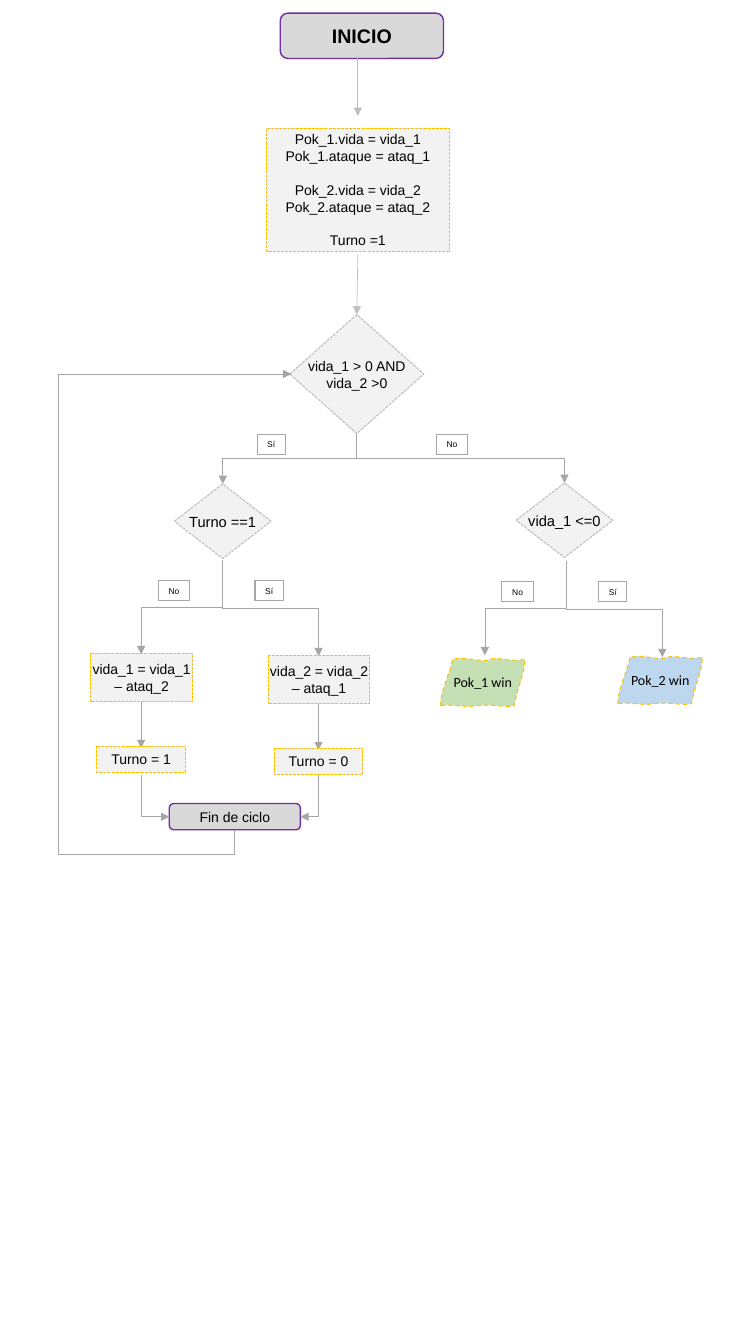
from lxml.etree import SubElement
from pptx import Presentation
from pptx.dml.color import RGBColor
from pptx.enum.dml import MSO_LINE
from pptx.enum.shapes import MSO_CONNECTOR, MSO_SHAPE
from pptx.enum.text import MSO_ANCHOR, PP_ALIGN
from pptx.oxml.ns import qn
from pptx.util import Inches, Pt

# The page is a grid of 75 columns by 133.3 rows, each a tenth of an inch.
COLUMNS, ROWS = 75, 133.3
MAIN, TURN_TEST, LIFE_TEST = 35.4, 22.1, 56
TURN_NO, TURN_YES = 14, 31.6

BLACK = RGBColor(0x00, 0x00, 0x00)
PALE_GREY = RGBColor(0xF2, 0xF2, 0xF2)
LIGHT_GREY = RGBColor(0xD9, 0xD9, 0xD9)
SILVER = RGBColor(0xBF, 0xBF, 0xBF)
GREY = RGBColor(0xA6, 0xA6, 0xA6)
PURPLE = RGBColor(0x70, 0x30, 0xA0)
AMBER = RGBColor(0xFF, 0xC0, 0x00)
GREEN = RGBColor(0xC5, 0xE0, 0xB4)
BLUE = RGBColor(0xBD, 0xD7, 0xEE)

# Wavy parallelogram: a start, then cubic curves (two controls and an end).
WAVE_START = (0, 4.6)
WAVE_CURVES = [
    ((0, 3.1), (1, 1.3), (1.2, 0)),
    ((2.3, -0.4), (4.2, 0.4), (4.9, 0)),
    ((5.7, -0.3), (6.9, 0.3), (8.4, 0)),
    ((8.3, 1.6), (7.7, 2.5), (7.3, 4.6)),
    ((6.4, 4.8), (5.1, 4.4), (3.6, 4.6)),
    ((2.1, 4.8), (1.4, 4.4), WAVE_START),
]
CURVE_STEPS = 8


def grid(units):
    return Inches(units / 10)


def write(shape, text, size, font="Arial", bold=False):
    """Centre the text; an empty line in it becomes space before a paragraph."""
    frame = shape.text_frame
    frame.word_wrap = False
    frame.vertical_anchor = MSO_ANCHOR.MIDDLE
    frame.margin_left = frame.margin_right = frame.margin_top = frame.margin_bottom = 0
    para = None
    for block_number, block in enumerate(text.split("\n\n")):
        for line_number, line in enumerate(block.split("\n")):
            para = frame.add_paragraph() if para is not None else frame.paragraphs[0]
            para.text = line
            para.alignment = PP_ALIGN.CENTER
            para.font.name, para.font.size, para.font.bold = font, Pt(size), bold
            para.font.color.rgb = BLACK
            if block_number and not line_number:
                para.space_before = Pt(size * 1.2)


def paint(shape, fill, outline, width=0.75, dash=None):
    shape.shadow.inherit = False
    if fill is None:
        shape.fill.background()
    else:
        shape.fill.solid()
        shape.fill.fore_color.rgb = fill
    shape.line.color.rgb = outline
    shape.line.width = Pt(width)
    if dash:
        shape.line.dash_style = dash


def add_box(page, kind, middle, top, width, height):
    return page.shapes.add_shape(
        kind, grid(middle - width / 2), grid(top), grid(width), grid(height))


def add_terminal(page, middle, top, width, height, text, size, bold=False):
    box = add_box(page, MSO_SHAPE.FLOWCHART_ALTERNATE_PROCESS, middle, top, width, height)
    paint(box, LIGHT_GREY, PURPLE, 1)
    write(box, text, size, bold=bold)


def add_process(page, middle, top, width, height, text):
    box = add_box(page, MSO_SHAPE.FLOWCHART_PROCESS, middle, top, width, height)
    paint(box, PALE_GREY, AMBER, dash=MSO_LINE.SQUARE_DOT)
    box.line.dash_style = MSO_LINE.SQUARE_DOT
    write(box, text, 10)


def add_decision(page, middle, top, width, height, text, size):
    box = add_box(page, MSO_SHAPE.FLOWCHART_DECISION, middle, top, width, height)
    paint(box, PALE_GREY, SILVER, dash=MSO_LINE.SQUARE_DOT)
    write(box, text, size)


def add_answer(page, middle, top, text):
    box = add_box(page, MSO_SHAPE.RECTANGLE, middle, top, 3.1 if text == "No" else 2.8, 2)
    paint(box, None, GREY)
    write(box, text, 6)


def curve_point(points, share):
    """Return the point of a cubic curve at a share of its course."""
    rest = 1 - share
    weights = (rest ** 3, 3 * rest ** 2 * share, 3 * rest * share ** 2, share ** 3)
    return tuple(sum(w * p[axis] for w, p in zip(weights, points)) for axis in (0, 1))


def add_result(page, left, top, text, fill):
    outline, corner = [], WAVE_START
    for curve in WAVE_CURVES:
        outline += [curve_point((corner, *curve), step / CURVE_STEPS)
                    for step in range(1, CURVE_STEPS + 1)]
        corner = curve[-1]
    places = [(grid(left + x), grid(top + y)) for x, y in outline]
    builder = page.shapes.build_freeform(*places[-1])
    builder.add_line_segments(places, close=True)
    wave = builder.convert_to_shape()
    paint(wave, fill, AMBER, dash=MSO_LINE.DASH)
    write(wave, text, 10, "Calibri")


def add_arrow(page, start, end, colour, kind=MSO_CONNECTOR.STRAIGHT):
    arrow = page.shapes.add_connector(kind, *map(grid, (*start, *end)))
    arrow.line.color.rgb = colour
    arrow.line.width = Pt(0.5)
    SubElement(arrow.line._get_or_add_ln(), qn("a:tailEnd"), type="triangle")
    SubElement(arrow.element.spPr, qn("a:effectLst"))
    return arrow


def add_elbow(page, start, end, preset="bentConnector3", bends=(50000,)):
    """Add a bent arrow that leaves its start vertically, by a quarter turn."""
    across, down = end[0] - start[0], end[1] - start[1]
    turn = -1 if across > 0 and down > 0 else 1
    half_x, half_y = turn * down / 2, -turn * across / 2
    centre_x, centre_y = start[0] + across / 2, start[1] + down / 2
    arrow = add_arrow(page, (centre_x - half_x, centre_y - half_y),
                      (centre_x + half_x, centre_y + half_y), GREY, MSO_CONNECTOR.ELBOW)
    properties = arrow.element.spPr
    properties.find(qn("a:xfrm")).set("rot", str(turn * 90 % 360 * 60000))
    geometry = properties.find(qn("a:prstGeom"))
    geometry.set("prst", preset)
    for number, bend in enumerate(bends, 1):
        name = "adj" if len(bends) == 1 else f"adj{number}"
        if preset == "bentConnector3":
            name = "adj1"
        SubElement(geometry.find(qn("a:avLst")), qn("a:gd"), name=name, fmla=f"val {bend}")


def add_branches(page, middle, top):
    """Add the No and Sí exits below a decision."""
    add_elbow(page, (middle, top), (middle - 8.1, top + 9.4))
    add_elbow(page, (middle, top), (middle + 9.5, top + 9.6))
    add_answer(page, middle - 4.85, top + 2.1, "No")
    add_answer(page, middle + 4.6, top + 2.1, "Sí")


def add_turn(page, middle, top, attack, turn):
    """Add an attack step, the change of turn and the way to the end of the loop."""
    add_process(page, middle + 0.05, top, 10.1, 4.8, attack)
    add_arrow(page, (middle, top + 4.8), (middle, top + 9.4), GREY)
    add_process(page, middle, top + 9.2, 8.8, 2.6, turn)


def main():
    deck = Presentation()
    deck.slide_width, deck.slide_height = grid(COLUMNS), grid(ROWS)
    page = deck.slides.add_slide(deck.slide_layouts[6])

    add_terminal(page, 35.9, 1.3, 16.2, 4.5, "INICIO", 14, bold=True)
    add_arrow(page, (35.5, 5.6), (35.5, 11.5), SILVER)
    add_process(page, 35.5, 12.7, 18.1, 12.2,
                "Pok_1.vida = vida_1\nPok_1.ataque = ataq_1\n\n"
                "Pok_2.vida = vida_2\nPok_2.ataque = ataq_2\n\nTurno =1")
    add_arrow(page, (35.5, 25.3), (MAIN, 31.2), SILVER)

    add_decision(page, MAIN, 31.2, 13.3, 11.8, "vida_1 > 0 AND\vvida_2 >0", 10)
    add_elbow(page, (MAIN, 43), (TURN_TEST, 48))
    add_elbow(page, (MAIN, 43), (LIFE_TEST, 47.9))
    add_answer(page, 26.9, 43.1, "Sí")
    add_answer(page, 44.85, 43.1, "No")

    add_decision(page, TURN_TEST, 48, 9.6, 7.4, "Turno ==1", 10.5)
    add_branches(page, TURN_TEST, 55.5)
    add_turn(page, TURN_NO, 64.8, "vida_1 = vida_1\v– ataq_2", "Turno = 1")
    add_turn(page, TURN_YES, 65, "vida_2 = vida_2\v– ataq_1", "Turno = 0")

    add_terminal(page, 23.3, 79.7, 13, 2.6, "Fin de ciclo", 10)
    add_elbow(page, (TURN_NO, 76.9), (16.8, 81), "bentConnector2", ())
    add_elbow(page, (TURN_YES, 76.9), (29.8, 81), "bentConnector2", ())
    add_elbow(page, (23.3, 82.3), (28.9, 37.1), "bentConnector4", (-5500, -312500))

    add_decision(page, LIFE_TEST, 47.9, 9.6, 7.4, "vida_1 <=0", 10.5)
    add_branches(page, LIFE_TEST + 0.2, 55.6)
    add_result(page, 43.7, 65.4, "Pok_1 win", GREEN)
    add_result(page, 61.3, 65.2, "Pok_2 win", BLUE)
    deck.save("out.pptx")


if __name__ == "__main__":
    main()
